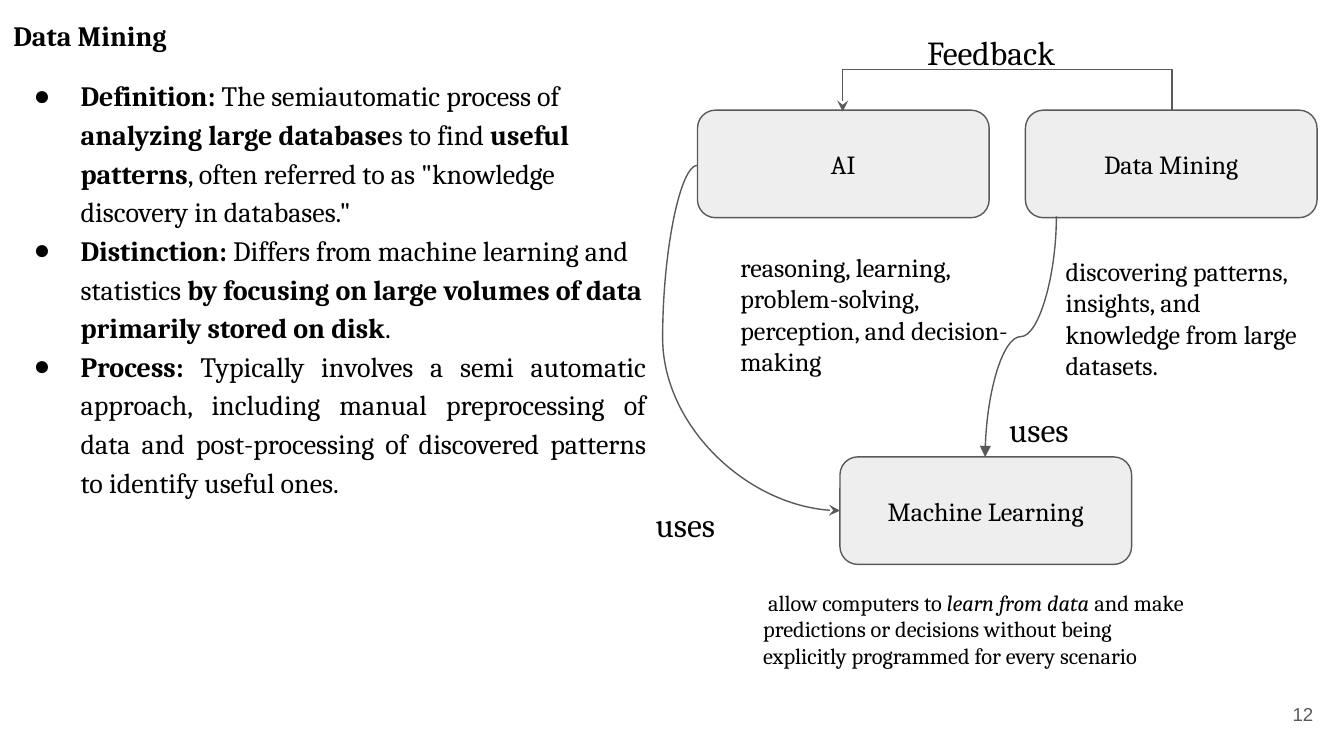
from dataclasses import dataclass

import lxml.etree
import pptx
import pptx.dml.color
import pptx.enum.shapes
import pptx.enum.text
import pptx.oxml.ns
import pptx.util

PX = 9144
BLACK = pptx.dml.color.RGBColor(0x00, 0x00, 0x00)
GREY = pptx.dml.color.RGBColor(0x59, 0x59, 0x59)
PALE = pptx.dml.color.RGBColor(0xEE, 0xEE, 0xEE)
ALIGN = pptx.enum.text.PP_ALIGN
ANCHOR = pptx.enum.text.MSO_ANCHOR
CONNECTOR = pptx.enum.shapes.MSO_CONNECTOR
BOX_W, BOX_H = 217, 80
qn = pptx.oxml.ns.qn


@dataclass
class Run:
    text: str
    bold: bool = False
    italic: bool = False


@dataclass
class Box:
    text: str
    x: int
    y: int


@dataclass
class Label:
    runs: list[Run]
    x: int
    y: int
    w: int
    h: int
    size: int


@dataclass
class Arrow:
    kind: int
    x1: int
    y1: int
    x2: int
    y2: int
    bend: float
    head: str
    vertical: bool


BULLETS = [
    [Run("Definition:", True), Run(" The semiautomatic process of "),
     Run("analyzing large database", True), Run("s to find"), Run(" useful patterns", True),
     Run(', often referred to as "knowledge discovery in databases."')],
    [Run("Distinction:", True), Run(" Differs from machine learning and statistics "),
     Run("by focusing on large volumes of data primarily stored on disk", True), Run(".")],
    [Run("Process:", True),
     Run(" Typically involves a semi automatic approach, including manual preprocessing of data "
         "and post-processing of discovered patterns to identify useful ones.")],
]
BOXES = [Box("AI", 519, 82), Box("Data Mining", 763, 82), Box("Machine Learning", 625, 340)]
LABELS = [
    Label([Run("reasoning, learning, problem-solving, perception, and decision-making")],
          541, 177, 222, 114, 14),
    Label([Run("discovering patterns, insights, and knowledge from large datasets.")],
          783, 180, 203, 114, 14),
    Label([Run("Feedback")], 680, 14, 143, 33, 18),
    Label([Run(" allow computers to "), Run("learn from data", italic=True),
           Run(" and make predictions or decisions without being explicitly programmed "
               "for every scenario")], 558, 428, 340, 81, 12),
    Label([Run("uses")], 478, 365, 101, 43, 18),
    Label([Run("uses")], 741, 294, 101, 43, 18),
]
ARROWS = [
    Arrow(CONNECTOR.CURVE, 786, 161, 733, 340, 0.5, "triangle", True),
    Arrow(CONNECTOR.CURVE, 519, 123, 625, 380, -0.245, "stealth", False),
    Arrow(CONNECTOR.ELBOW, 872, 82, 627, 83, -31, "stealth", True),
]


def place(s, x: int, y: int, w: int, h: int) -> None:
    s.left, s.top, s.width, s.height = (v * PX for v in (x, y, w, h))


def set_frame(tf, anchor=ANCHOR.TOP) -> None:
    tf.word_wrap = True
    tf.auto_size = pptx.enum.text.MSO_AUTO_SIZE.NONE
    tf.vertical_anchor = anchor
    tf.margin_left = tf.margin_right = tf.margin_top = tf.margin_bottom = 10 * PX


def write(p, runs: list[Run], size: int, align=ALIGN.LEFT, font="Cambria", color=BLACK) -> None:
    p.alignment = align
    for run in runs:
        r = p.add_run()
        r.text = run.text
        r.font.name = font
        r.font.size = pptx.util.Pt(size)
        r.font.bold = run.bold
        r.font.italic = run.italic
        r.font.color.rgb = color


def add_bullet(p) -> None:
    pPr = p._p.get_or_add_pPr()
    pPr.set("marL", str(50 * PX))
    pPr.set("indent", str(-35 * PX))
    lxml.etree.SubElement(pPr, qn("a:buChar")).set("char", "●")


def draw_box(slide, box: Box) -> None:
    s = slide.shapes.add_shape(pptx.enum.shapes.MSO_SHAPE.ROUNDED_RECTANGLE,
                               box.x * PX, box.y * PX, BOX_W * PX, BOX_H * PX)
    s.shadow.inherit = False
    s.fill.solid()
    s.fill.fore_color.rgb = PALE
    s.line.color.rgb = GREY
    s.line.width = pptx.util.Pt(0.75)
    set_frame(s.text_frame, ANCHOR.MIDDLE)
    write(s.text_frame.paragraphs[0], [Run(box.text)], 14, ALIGN.CENTER)


def draw_label(slide, label: Label) -> None:
    s = slide.shapes.add_textbox(0, 0, 0, 0)
    place(s, label.x, label.y, label.w, label.h)
    set_frame(s.text_frame)
    write(s.text_frame.paragraphs[0], label.runs, label.size)


def draw_arrow(slide, a: Arrow) -> None:
    s = slide.shapes.add_connector(a.kind, a.x1 * PX, a.y1 * PX, a.x2 * PX, a.y2 * PX)
    s.line.color.rgb = GREY
    s.line.width = pptx.util.Pt(0.75)
    spPr = s._element.spPr
    if a.vertical:
        w, h = abs(a.y2 - a.y1) * PX, abs(a.x2 - a.x1) * PX
        s.left, s.top = (a.x1 + a.x2) * PX // 2 - w // 2, (a.y1 + a.y2) * PX // 2 - h // 2
        s.width, s.height = w, h
        xfrm = spPr.find(qn("a:xfrm"))
        xfrm.attrib.pop("flipH", None)
        xfrm.set("rot", "5400000")
    guide = lxml.etree.SubElement(spPr.find(qn("a:prstGeom")).find(qn("a:avLst")), qn("a:gd"))
    guide.set("name", "adj1")
    guide.set("fmla", f"val {round(a.bend * 100000)}")
    lxml.etree.SubElement(spPr.find(qn("a:ln")), qn("a:tailEnd")).set("type", a.head)
    lxml.etree.SubElement(spPr, qn("a:effectLst"))


def main() -> None:
    prs = pptx.Presentation()
    prs.slide_width = 1000 * PX
    prs.slide_height = prs.slide_width * 9 // 16
    slide = prs.slides.add_slide(prs.slide_layouts[1])

    title = slide.shapes.title
    place(title, 0, 0, 491, 45)
    set_frame(title.text_frame)
    p = title.text_frame.paragraphs[0]
    p.line_spacing = 1.15
    write(p, [Run("Data Mining", True)], 15)

    body = slide.placeholders[1]
    place(body, 0, 45, 491, 337)
    tf = body.text_frame
    set_frame(tf)
    for i, runs in enumerate(BULLETS):
        p = tf.add_paragraph() if i else tf.paragraphs[0]
        p.line_spacing = 1.15
        p.space_before = pptx.util.Pt(0)
        write(p, runs, 15, ALIGN.JUSTIFY if runs is BULLETS[-1] else ALIGN.LEFT)
        add_bullet(p)

    for box in BOXES:
        draw_box(slide, box)
    for arrow in ARROWS:
        draw_arrow(slide, arrow)
    for label in LABELS:
        draw_label(slide, label)

    number = slide.shapes.add_textbox(927 * PX, 510 * PX, 60 * PX, 43 * PX)
    set_frame(number.text_frame, ANCHOR.MIDDLE)
    write(number.text_frame.paragraphs[0], [Run("12")], 10, ALIGN.RIGHT, "Arial", GREY)

    prs.save("out.pptx")


if __name__ == "__main__":
    main()
